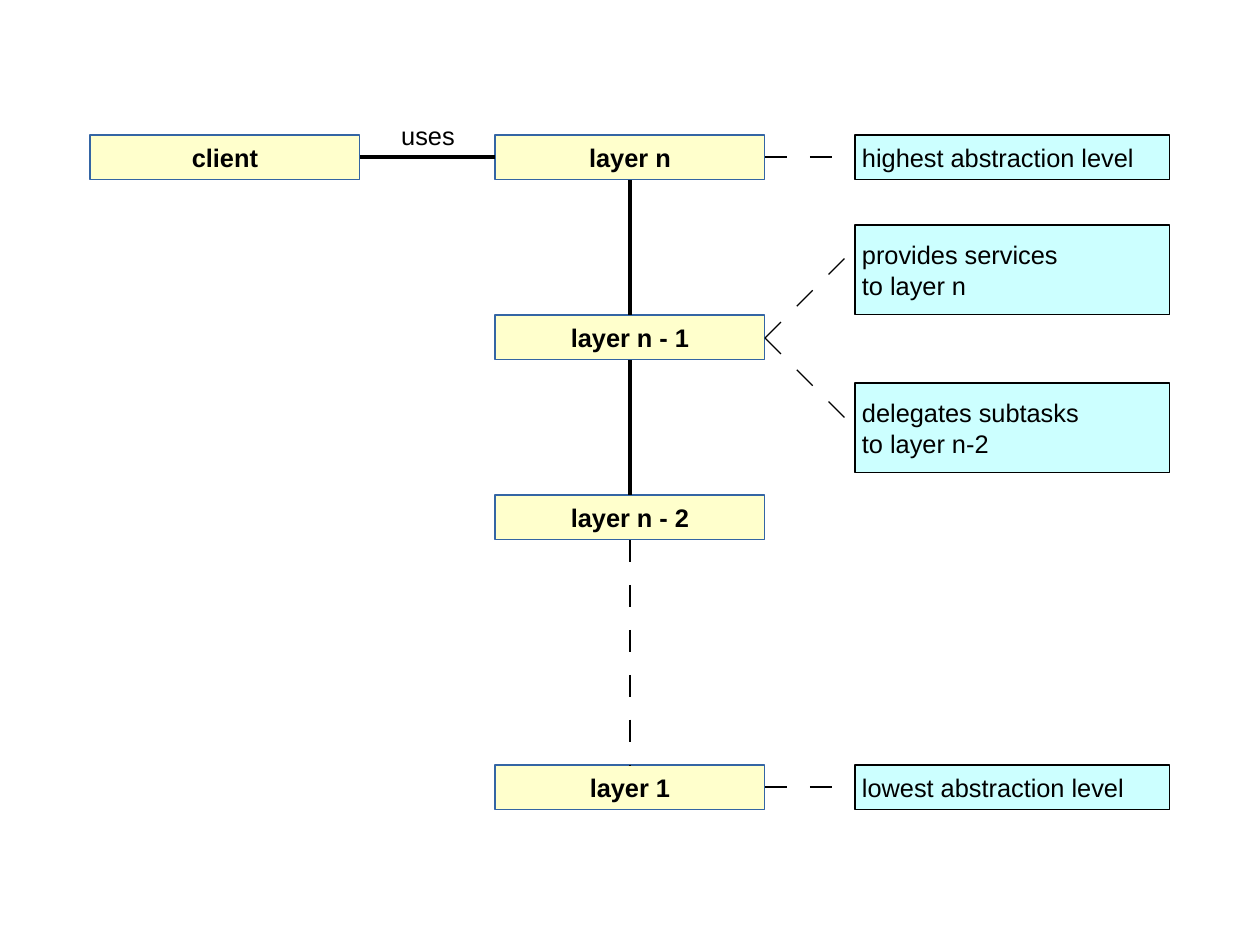
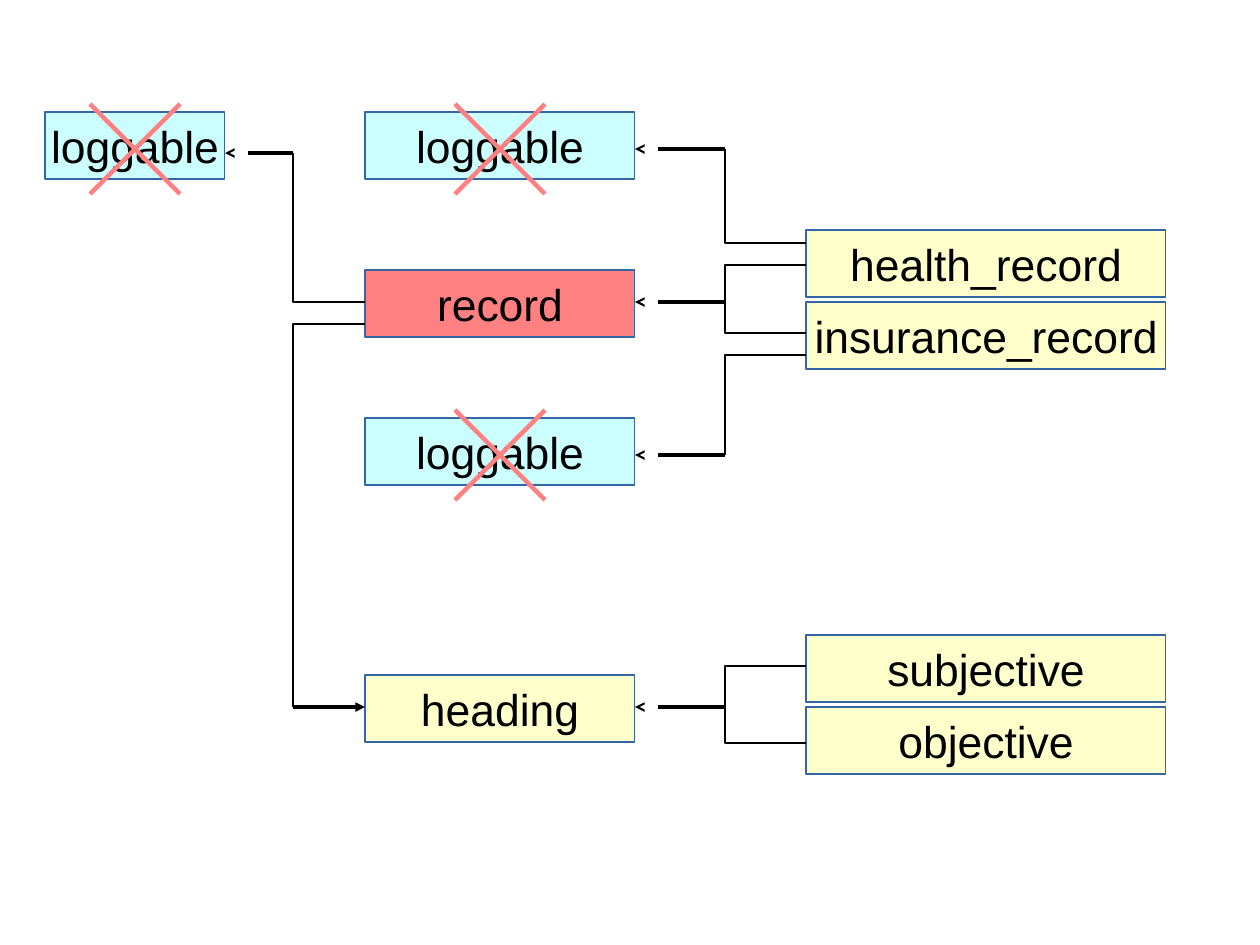
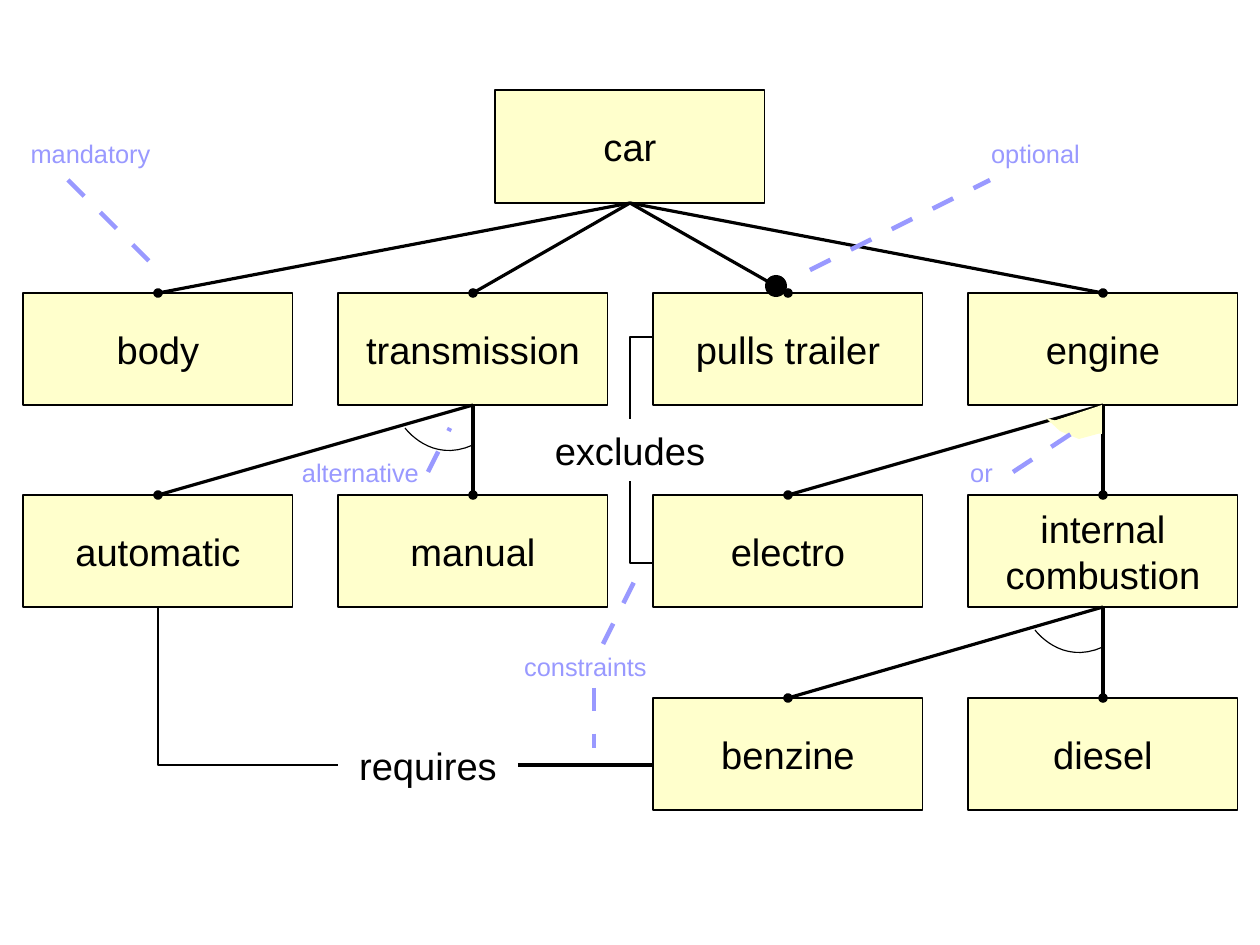
"""Build three diagrams: layered architecture, record inheritance, car features."""
import lxml.etree
import pptx
import pptx.dml.color
import pptx.enum.shapes
import pptx.enum.text
import pptx.oxml.ns
import pptx.util

PX = 8000
HAIRLINE, DASHED, BOLD_LINE = 0, 0.75, 2.83
DASH_POINTS = 14.4
FONT = "Arial"
COLORS = {
    "black": "000000",
    "white": "FFFFFF",
    "cream": "FFFFCC",
    "aqua": "CCFFFF",
    "red": "FF8080",
    "blue": "3465A4",
    "lilac": "9999FF",
}
RGB = {name: pptx.dml.color.RGBColor.from_string(code) for name, code in COLORS.items()}
SHAPE = pptx.enum.shapes.MSO_SHAPE
ALIGN = pptx.enum.text.PP_ALIGN
qn = pptx.oxml.ns.qn


def add_box(slide, text, place, size, fill=None, border="black", color="black",
            bold=False, align=ALIGN.CENTER, inset=0):
    """Add a filled box, or a bare label when there is no fill."""
    left, top, width, height = (value * PX for value in place)
    if fill:
        box = slide.shapes.add_shape(SHAPE.RECTANGLE, left, top, width, height)
        box.shadow.inherit = False
        box.fill.solid()
        box.fill.fore_color.rgb = RGB[fill]
        box.line.color.rgb = RGB[border]
        box.line.width = HAIRLINE
    else:
        box = slide.shapes.add_textbox(left, top, width, height)
    frame = box.text_frame
    frame.word_wrap = True
    frame.vertical_anchor = pptx.enum.text.MSO_ANCHOR.MIDDLE
    frame.margin_left = inset * PX
    frame.margin_top = frame.margin_right = frame.margin_bottom = 0
    frame.text = text
    for paragraph in frame.paragraphs:
        paragraph.alignment = align
        paragraph.font.name = FONT
        paragraph.font.size = pptx.util.Pt(size)
        paragraph.font.bold = bold
        paragraph.font.color.rgb = RGB[color]


def add_link(slide, start, end, color="black", width=HAIRLINE, dashed=False, tip=None):
    """Add a straight line with optional dashes and end marker."""
    link = slide.shapes.add_connector(
        pptx.enum.shapes.MSO_CONNECTOR.STRAIGHT, *(value * PX for value in (*start, *end)))
    link.line.color.rgb = RGB[color]
    link.line.width = pptx.util.Pt(width)
    properties = link.element.spPr
    outline = properties.find(qn("a:ln"))
    if dashed:
        length = str(round(DASH_POINTS / width * 100000))
        dashes = lxml.etree.SubElement(outline, qn("a:custDash"))
        lxml.etree.SubElement(dashes, qn("a:ds"), d=length, sp=length)
    if tip:
        lxml.etree.SubElement(outline, qn("a:tailEnd"), type=tip)
    lxml.etree.SubElement(properties, qn("a:effectLst"))


prs = pptx.Presentation()
prs.slide_width, prs.slide_height = 1260 * PX, 945 * PX
layers, records, features = (prs.slides.add_slide(prs.slide_layouts[6]) for _ in range(3))

for name, left, top in [
    ("client", 90, 135),
    ("layer n", 495, 135),
    ("layer n - 1", 495, 315),
    ("layer n - 2", 495, 495),
    ("layer 1", 495, 765),
]:
    add_box(layers, name, (left, top, 270, 45), 16, "cream", "blue", bold=True)
add_box(layers, "uses", (383, 113, 90, 45), 16)
for note, top, height in [
    ("highest abstraction level", 135, 45),
    ("provides services\nto layer n", 225, 90),
    ("delegates subtasks\nto layer n-2", 383, 90),
    ("lowest abstraction level", 765, 45),
]:
    add_box(layers, note, (855, top, 315, height), 16, "aqua", align=ALIGN.LEFT, inset=7)
for start, end in [((360, 157), (495, 157)), ((630, 180), (630, 315)), ((630, 360), (630, 495))]:
    add_link(layers, start, end)
for start, end in [
    ((630, 540), (630, 765)),
    ((765, 157), (855, 157)),
    ((765, 338), (855, 248)),
    ((765, 338), (855, 428)),
    ((765, 787), (855, 787)),
]:
    add_link(layers, start, end, width=DASHED, dashed=True)

for name, left, top, width, fill in [
    ("loggable", 45, 112, 180, "aqua"),
    ("loggable", 365, 112, 270, "aqua"),
    ("record", 365, 270, 270, "red"),
    ("loggable", 365, 418, 270, "aqua"),
    ("heading", 365, 675, 270, "cream"),
    ("health_record", 806, 230, 360, "cream"),
    ("insurance_record", 806, 302, 360, "cream"),
    ("subjective", 806, 635, 360, "cream"),
    ("objective", 806, 707, 360, "cream"),
]:
    add_box(records, name, (left, top, width, 67), 28, fill, "blue")
for bend, parent_edge, y in [
    (293, 225, 153), (725, 635, 149), (725, 635, 302), (725, 635, 455), (725, 635, 707),
]:
    add_link(records, (bend, y), (parent_edge, y), tip="triangle")
    add_link(records, (parent_edge + 23, y), (parent_edge + 5, y), "white", tip="triangle")
add_link(records, (293, 707), (365, 707), tip="triangle")
for x, y in [(135, 149), (500, 149), (500, 455)]:
    for rise in (-45, 45):
        add_link(records, (x - 45, y + rise), (x + 45, y - rise), "red", BOLD_LINE)

columns = [23 + 315 * column for column in range(4)]
centers = [left + 135 for left in columns]
tops = [293, 495, 698]
add_box(features, "car", (495, 90, 270, 113), 24, "cream")
for top, names in zip(tops, [
    ["body", "transmission", "pulls trailer", "engine"],
    ["automatic", "manual", "electro", "internal\ncombustion"],
    [None, None, "benzine", "diesel"],
]):
    for left, name in zip(columns, names):
        if name:
            add_box(features, name, (left, top, 270, 112), 24, "cream")
transmission, engine, combustion = (centers[1], 405), (centers[3], 405), (centers[3], 607)
for parent, children, top in [
    ((630, 203), centers, tops[0]),
    (transmission, centers[:2], tops[1]),
    (engine, centers[2:], tops[1]),
    (combustion, centers[2:], tops[2]),
]:
    for child in children:
        add_link(features, parent, (child, top), tip="oval")
optional_dot = features.shapes.add_shape(SHAPE.OVAL, 765 * PX, 275 * PX, 22 * PX, 22 * PX)
optional_dot.shadow.inherit = False
optional_dot.fill.solid()
optional_dot.fill.fore_color.rgb = RGB["black"]
optional_dot.line.fill.background()
for constraint, left, top in [("requires", 338, 737), ("excludes", 540, 422)]:
    add_box(features, constraint, (left, top, 180, 57), 24)
add_link(features, (518, 765), (653, 765))

outlines = [
    (features, [(1101, 433), (1079, 439), (1060, 431), (1046, 418)], "cream"),
    (features, [(1048, 423), (1102, 405), (1102, 434), (1056, 423)], "cream"),
]
for slide, start_x, start_y, bend_x, end_y in [
    (records, 365, 302, 293, 153),
    (records, 365, 324, 293, 707),
    (records, 806, 243, 725, 149),
    (records, 806, 265, 725, 302),
    (records, 806, 333, 725, 302),
    (records, 806, 355, 725, 455),
    (records, 806, 666, 725, 707),
    (records, 806, 743, 725, 707),
    (features, 653, 337, 630, 419),
    (features, 653, 563, 630, 481),
    (features, 338, 765, 158, 607),
]:
    outlines.append((slide, [(start_x, start_y), (bend_x, start_y), (bend_x, end_y)], None))
for x, y in (transmission, combustion):
    arc = []
    for step in range(17):
        t = step / 16
        first, second, last = (1 - t) ** 3, 3 * t * (1 - t) ** 2, t * t * (3 - 2 * t)
        arc.append((x - 42 * second - 68 * last, y + 40 * first + 59 * second + 23 * last))
    outlines.append((features, arc, None))
for slide, points, fill in outlines:
    scaled = [(round(x * PX), round(y * PX)) for x, y in points]
    builder = slide.shapes.build_freeform(*scaled[0])
    builder.add_line_segments(scaled[1:], close=bool(fill))
    outline = builder.convert_to_shape()
    outline.shadow.inherit = False
    if fill:
        outline.fill.solid()
        outline.fill.fore_color.rgb = RGB[fill]
        outline.line.fill.background()
    else:
        outline.fill.background()
        outline.line.color.rgb = RGB["black"]
        outline.line.width = HAIRLINE

for hint, left, top, width in [
    ("mandatory", 23, 131, 135),
    ("optional", 968, 131, 135),
    ("alternative", 293, 450, 135),
    ("or", 959, 450, 45),
    ("constraints", 518, 644, 135),
]:
    add_box(features, hint, (left, top, width, 45), 16, color="lilac")
for start, end in [
    ((68, 180), (158, 270)),
    ((810, 270), (990, 180)),
    ((428, 472), (450, 428)),
    ((1013, 472), (1080, 428)),
    ((603, 644), (639, 572)),
    ((594, 688), (594, 748)),
]:
    add_link(features, start, end, "lilac", BOLD_LINE, dashed=True)

prs.save("out.pptx")
